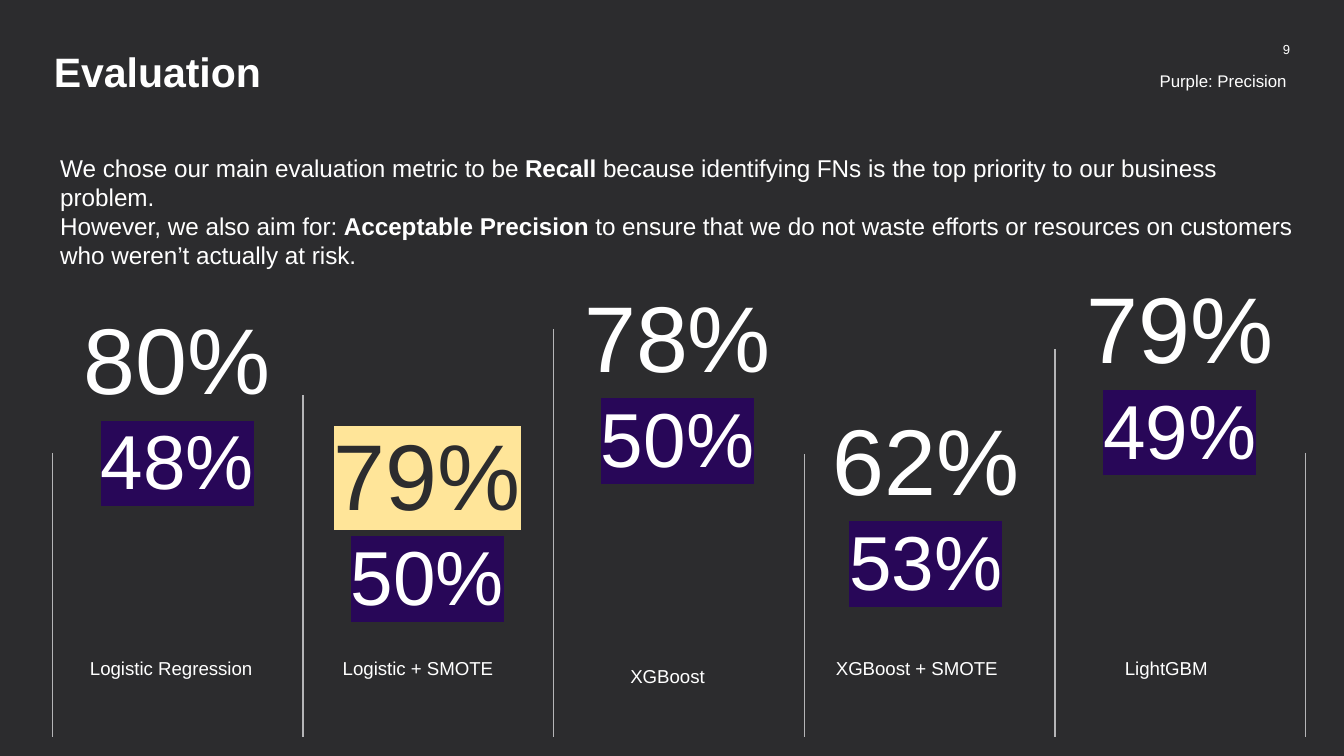
from dataclasses import dataclass
from lxml.etree import SubElement
from pptx import Presentation
from pptx.dml.color import RGBColor
from pptx.enum.shapes import MSO_CONNECTOR
from pptx.enum.text import MSO_ANCHOR, PP_ALIGN
from pptx.oxml.ns import qn
from pptx.shapes.base import BaseShape
from pptx.slide import Slide
from pptx.text.text import TextFrame, _Run
from pptx.util import Pt

HUES = {"back": "2C2C2E", "text": "FFFFFF", "rule": "B5B5B7",
        "best": "FFE599", "purple": "280758"}
FONT = "Arial"
LEFT, PITCH, BASE = 28, 134.3, 394.6
PAD = 7.2


@dataclass
class Model:
    name: str
    recall: str
    prec: str
    mid: float
    foot: float
    tag_x: float
    tag_y: float = 339.1
    best: bool = False


MODELS = [
    Model("Logistic Regression", "80%", "48%", 95, 277.9, 48.2),
    Model("Logistic + SMOTE", "79%", "50%", 229, 339.8, 183.6, best=True),
    Model("XGBoost", "78%", "50%", 363, 265.7, 337.7, 343.4),
    Model("XGBoost + SMOTE", "62%", "53%", 496, 331.9, 447.8),
    Model("LightGBM", "79%", "49%", 632, 261.4, 602.6),
]
RULE_TOPS = [242.6, 211.7, 176.4, 243.4, 187.2, 242.6]
INTRO = [
    [("We chose our main evaluation metric to be ", False), ("Recall ", True),
     ("because identifying FNs is the top priority to our business problem.", False)],
    [("However, we also aim for: ", False), ("Acceptable Precision ", True),
     ("to ensure that we do not waste efforts or resources on customers "
      "who weren’t actually at risk.", False)],
]


def tint(name: str) -> RGBColor:
    return RGBColor.from_string(HUES[name])


def style(run: _Run, size: float, hue: str = "text", bold: bool = False) -> None:
    font = run.font
    font.name, font.size, font.bold = FONT, Pt(size), bold
    font.color.rgb = tint(hue)


def mark(run: _Run, hue: str) -> None:
    props = run.font._element
    light = SubElement(props, qn("a:highlight"))
    SubElement(light, qn("a:srgbClr")).set("val", HUES[hue])
    props.find(qn("a:solidFill")).addnext(light)


def frame(shape: BaseShape, anchor: MSO_ANCHOR, pad: float = 0) -> TextFrame:
    text = shape.text_frame
    text.word_wrap = True
    text.vertical_anchor = anchor
    text.margin_left = text.margin_right = Pt(pad)
    text.margin_top = text.margin_bottom = Pt(pad)
    return text


def add_box(slide: Slide, x: float, y: float, w: float, h: float,
            anchor: MSO_ANCHOR, pad: float = 0) -> TextFrame:
    box = slide.shapes.add_textbox(Pt(x), Pt(y), Pt(w), Pt(h))
    return frame(box, anchor, pad)


def write(text: TextFrame, words: str, size: float, bold: bool = False,
          align: PP_ALIGN = PP_ALIGN.LEFT, gap: float = 1.15) -> None:
    text.text = words
    para = text.paragraphs[0]
    para.alignment, para.line_spacing = align, gap
    style(para.runs[0], size, bold=bold)


def add_rule(slide: Slide, x: float, top: float) -> None:
    rule = slide.shapes.add_connector(
        MSO_CONNECTOR.STRAIGHT, Pt(x), Pt(top), Pt(x), Pt(BASE))
    rule.line.color.rgb = tint("rule")
    rule.line.width = Pt(0.75)
    SubElement(rule._element.spPr, qn("a:effectLst"))


def add_model(slide: Slide, model: Model) -> None:
    wide, high = 123, 120
    text = add_box(slide, model.mid - wide / 2, model.foot - high, wide, high,
                   MSO_ANCHOR.BOTTOM, PAD)
    text.text = f"{model.recall}\n{model.prec}"
    for para in text.paragraphs:
        para.alignment = PP_ALIGN.CENTER
    recall, prec = (para.runs[0] for para in text.paragraphs)
    style(recall, 50, "back" if model.best else "text")
    if model.best:
        mark(recall, "best")
    style(prec, 41)
    mark(prec, "purple")
    tag = add_box(slide, model.tag_x, model.tag_y, 98, 36, MSO_ANCHOR.MIDDLE)
    write(tag, model.name, 10)


def add_intro(slide: Slide) -> None:
    text = add_box(slide, 25.2, 74.9, 681.8, 56.2, MSO_ANCHOR.TOP, PAD)
    for spot, parts in enumerate(INTRO):
        para = text.add_paragraph() if spot else text.paragraphs[0]
        for words, bold in parts:
            run = para.add_run()
            run.text = words
            style(run, 13, bold=bold)


def add_title(slide: Slide) -> None:
    title = slide.shapes.title
    title.left, title.top = Pt(28.8), Pt(24.5)
    title.width, title.height = Pt(658.8), Pt(26.6)
    write(frame(title, MSO_ANCHOR.BOTTOM), "Evaluation", 22, bold=True)


def main() -> None:
    deck = Presentation()
    deck.slide_width, deck.slide_height = Pt(720), Pt(405)
    slide = deck.slides.add_slide(deck.slide_layouts[5])
    slide.background.fill.solid()
    slide.background.fill.fore_color.rgb = tint("back")
    add_title(slide)
    for spot, top in enumerate(RULE_TOPS):
        add_rule(slide, LEFT + spot * PITCH, top)
    for model in MODELS:
        add_model(slide, model)
    add_intro(slide)
    page = add_box(slide, 648, 17.3, 43.2, 18.7, MSO_ANCHOR.MIDDLE)
    write(page, "9", 7, align=PP_ALIGN.RIGHT, gap=1)
    key = add_box(slide, 611.3, 30.2, 85, 29.5, MSO_ANCHOR.TOP, PAD)
    write(key, "Purple: Precision", 9, align=PP_ALIGN.RIGHT)
    deck.save("out.pptx")


if __name__ == "__main__":
    main()
